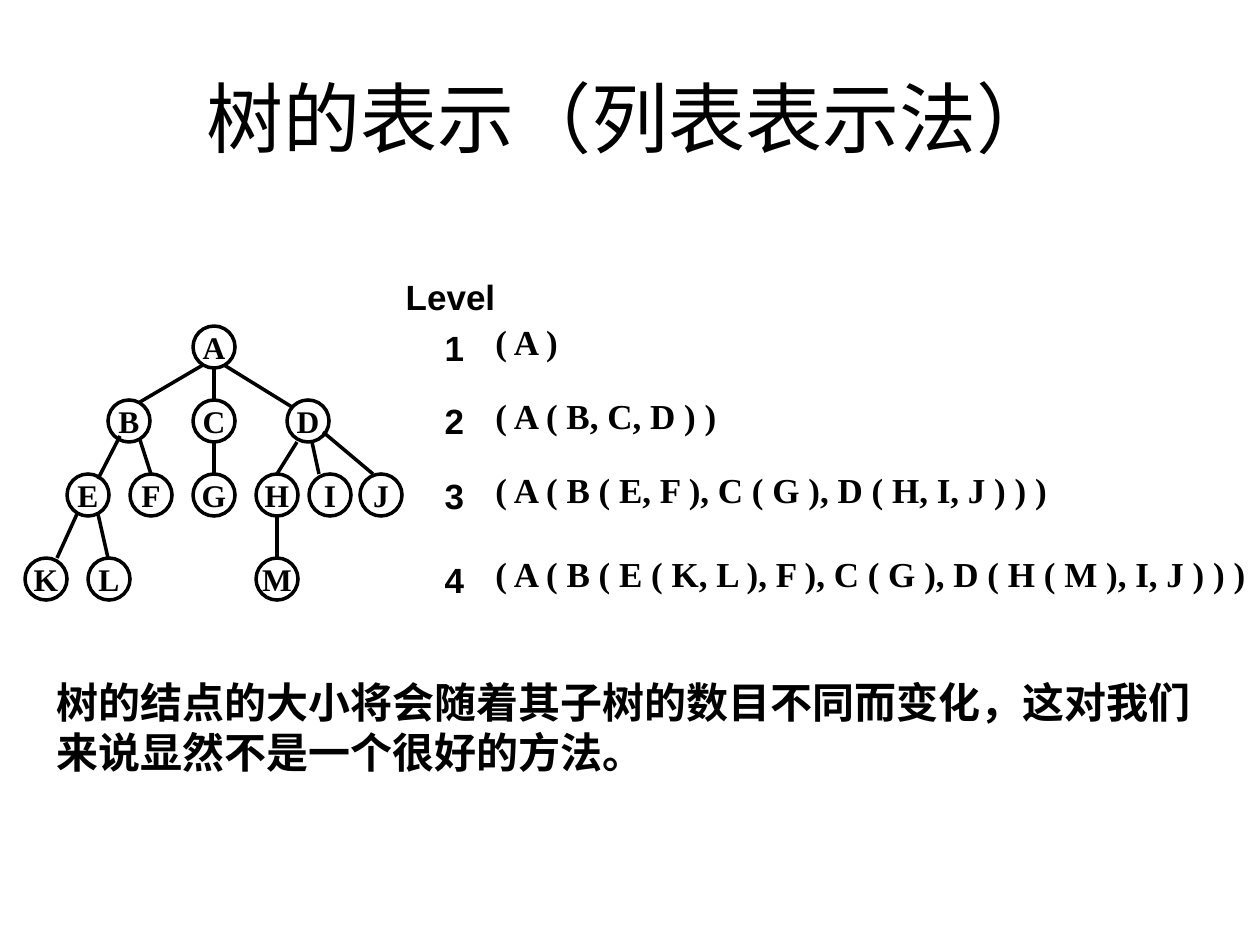
from pptx import Presentation
from pptx.dml.color import RGBColor
from pptx.enum import shapes, text
from pptx.oxml.ns import qn
from pptx.util import Pt
from lxml import etree

PX = 914400 / 126  # EMU per px
COLORS = {"ink": "000000"}
INK = RGBColor.from_string(COLORS["ink"])
LEFT, CENTER = text.PP_ALIGN.LEFT, text.PP_ALIGN.CENTER
TOP, MIDDLE = text.MSO_ANCHOR.TOP, text.MSO_ANCHOR.MIDDLE

NODE = 42
ROW_TOPS = [0, 74, 148, 232]
# Left edge of each node, one dict per level
TREE = [
    {"A": 168},
    {"B": 83, "C": 168, "D": 262},
    {"E": 42, "F": 105, "G": 168, "H": 231, "I": 284, "J": 335},
    {"K": 0, "L": 63, "M": 231},
]
# Ends of the branches: x1, y1, x2, y2
EDGES = [
    (178, 39, 115, 76), (189, 43, 189, 75), (199, 39, 267, 81),  # A to B, C, D
    (95, 110, 73, 153), (115, 114, 126, 148),                    # B to E, F
    (189, 116, 189, 148),                                        # C to G
    (272, 116, 252, 148), (287, 116, 294, 148), (298, 106, 348, 148),  # D to H, I, J
    (52, 188, 32, 232), (73, 188, 83, 232),                      # E to K, L
    (252, 189, 252, 232),                                        # H to M
]
# List notation of each level and the width of its box
LISTS = [
    ("( A )", 147),
    ("( A ( B, C, D ) )", 305),
    ("( A ( B ( E, F ), C ( G ), D ( H, I, J ) ) )", 609),
    ("( A ( B ( E ( K, L ), F ), C ( G ), D ( H ( M ), I, J ) ) )", 777),
]


def emu(*lengths):
    return [round(n * PX) for n in lengths]


def write(sp, words, font, size, bold=True, align=LEFT, anchor=TOP, wrap=True):
    tf = sp.text_frame
    tf.word_wrap = wrap
    tf.vertical_anchor = anchor
    p = tf.paragraphs[0]
    p.text = words
    p.alignment = align
    p.font.name, p.font.size, p.font.bold = font, Pt(size), bold
    p.font.color.rgb = INK
    return tf


def add_text(slide, box, words, font, size, **style):
    sp = slide.shapes.add_textbox(*emu(*box))
    return write(sp, words, font, size, **style)


def add_title(slide, box, words):
    sp = slide.shapes.title
    sp.left, sp.top, sp.width, sp.height = emu(*box)
    write(sp, words, "Calibri", 44, bold=False, align=CENTER, anchor=MIDDLE)


def add_tree(slide, x, y):
    # Nodes
    for row_top, nodes in zip(ROW_TOPS, TREE):
        for name, left in nodes.items():
            sp = slide.shapes.add_shape(
                shapes.MSO_SHAPE.OVAL, *emu(x + left, y + row_top, NODE, NODE))
            sp.shadow.inherit = False
            sp.fill.background()
            sp.line.color.rgb = INK
            sp.line.width = Pt(2)
            write(sp, name, "Times New Roman", 18,
                  align=CENTER, anchor=MIDDLE, wrap=False)
    # Branches
    for x1, y1, x2, y2 in EDGES:
        line = slide.shapes.add_connector(
            shapes.MSO_CONNECTOR.STRAIGHT, *emu(x + x1, y + y1, x + x2, y + y2))
        line.line.color.rgb = INK
        line.line.width = Pt(2)
        etree.SubElement(line._element.spPr, qn("a:effectLst"))


def add_label(slide, box, words):
    tf = add_text(slide, box, words, "Arial", 20,
                  align=CENTER, anchor=MIDDLE, wrap=False)
    tf.margin_left = tf.margin_right = 0


def add_levels(slide, x, y):
    add_label(slide, (x, y - 51, 95, 42), "Level")
    for level, (row_top, (words, width)) in enumerate(zip(ROW_TOPS, LISTS), 1):
        add_label(slide, (x + 20, y + row_top, 63, 42), str(level))
        tf = add_text(slide, (x + 80, y + row_top - 12, width, 55),
                      words, "Times New Roman", 20)
        tf.margin_right = 0


def main():
    prs = Presentation()
    prs.slide_width, prs.slide_height = emu(1260, 945)
    slide = prs.slides.add_slide(prs.slide_layouts[5])
    add_title(slide, (63, 38, 1134, 157), "树的表示（列表表示法）")
    add_tree(slide, 25, 326)
    add_levels(slide, 403, 326)
    # Remark below the tree
    add_text(slide, (44, 670, 1171, 113),
             "树的结点的大小将会随着其子树的数目不同而变化，这对我们来说显然不是一个很好的方法。",
             "Karla", 24)
    prs.save("out.pptx")


if __name__ == "__main__":
    main()
